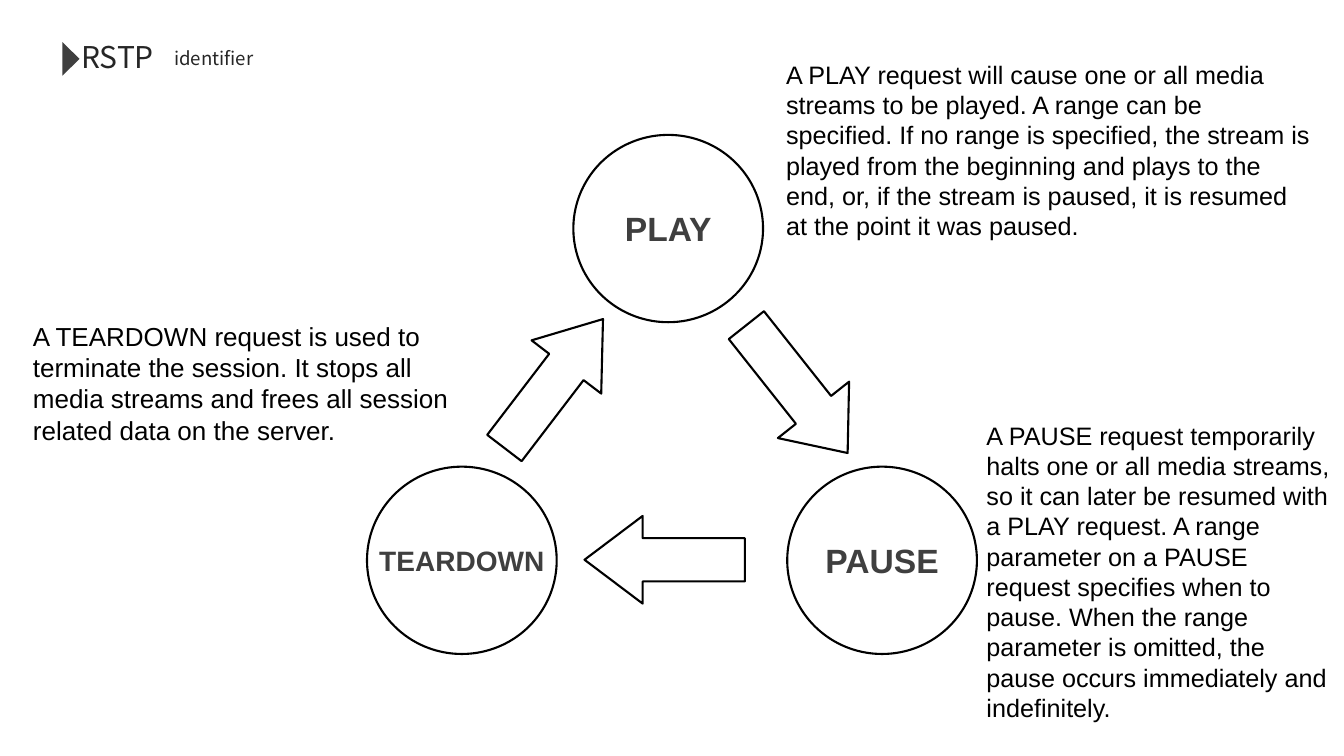
"""Build the slide showing the PLAY, PAUSE and TEARDOWN request cycle."""
from dataclasses import dataclass

import pptx
import pptx.dml.color
import pptx.enum.shapes
import pptx.enum.text
import pptx.util

Cm = pptx.util.Cm
Pt = pptx.util.Pt
RGBColor = pptx.dml.color.RGBColor
ShapeType = pptx.enum.shapes.MSO_SHAPE
Align = pptx.enum.text.PP_ALIGN
Anchor = pptx.enum.text.MSO_ANCHOR

BLACK = RGBColor(0x00, 0x00, 0x00)
WHITE = RGBColor(0xFF, 0xFF, 0xFF)
DARK_GREY = RGBColor(0x3F, 0x3F, 0x3F)
HEADING_GREY = RGBColor(0x26, 0x26, 0x26)
BODY_FONT = "Arial"
HEADING_FONT = "Noto Sans CJK SC"


@dataclass(frozen=True)
class Box:
    left: float
    top: float
    width: float
    height: float

    def lengths(self) -> tuple:
        return Cm(self.left), Cm(self.top), Cm(self.width), Cm(self.height)


@dataclass(frozen=True)
class Request:
    name: str
    left: float
    top: float
    name_size: float
    description: str
    description_box: Box
    description_size: float = 18


@dataclass(frozen=True)
class Arrow:
    box: Box
    rotation: float
    head_length: float


CIRCLE_WIDTH, CIRCLE_HEIGHT = 4.78, 4.72
ARROW_SHAFT = 0.494
TITLE_BOX = Box(1.85, 0.85, 2.34, 1.17)
SUBTITLE_BOX = Box(4.19, 1.05, 2.54, 0.84)
MARKER_BOX = Box(1.37, 1.27, 0.84, 0.43)

REQUESTS = [
    Request(
        "PLAY", 14.45, 3.4, 24,
        "A PLAY request will cause one or all media streams to be played. "
        "A range can be specified. If no range is specified, the stream is "
        "played from the beginning and plays to the end, or, if the stream is "
        "paused, it is resumed at the point it was paused.",
        Box(19.56, 1.37, 13.77, 4.88),
    ),
    Request(
        "PAUSE", 19.84, 11.76, 24,
        "A PAUSE request temporarily halts one or all media streams, so it can "
        "later be resumed with a PLAY request. A range parameter on a PAUSE "
        "request specifies when to pause. When the range parameter is omitted, "
        "the pause occurs immediately and indefinitely.",
        Box(24.61, 10.46, 9.25, 7.95),
    ),
    Request(
        "TEARDOWN", 9.25, 11.76, 20,
        "A TEARDOWN request is used to terminate the session. It stops all "
        "media streams and frees all session related data on the server.",
        Box(0.58, 7.95, 11, 3.45), 18.6,
    ),
]

ARROWS = [
    Arrow(Box(11.91, 8.56, 4.09, 2.21), 307.4, 0.687),
    Arrow(Box(18.03, 8.66, 4.11, 2.29), 51.6, 0.605),
    Arrow(Box(14.73, 13, 4.04, 2.21), 180, 0.663),
]


def write_text(shape, text: str, *, size: float, color: RGBColor = BLACK,
               font: str = BODY_FONT, bold: bool = False, align=Align.LEFT,
               anchor=Anchor.TOP, wrap: bool = True) -> None:
    frame = shape.text_frame
    frame.auto_size = pptx.enum.text.MSO_AUTO_SIZE.NONE
    frame.word_wrap = wrap
    frame.vertical_anchor = anchor
    paragraph = frame.paragraphs[0]
    paragraph.alignment = align
    run = paragraph.add_run()
    run.text = text
    run.font.name = font
    run.font.size = Pt(size)
    run.font.bold = bold
    run.font.color.rgb = color


def write_heading(shape, text: str, size: float) -> None:
    write_text(shape, text, size=size, color=HEADING_GREY, font=HEADING_FONT,
               anchor=Anchor.MIDDLE)
    frame = shape.text_frame
    frame.margin_left = Cm(0.2)
    frame.margin_right = frame.margin_top = frame.margin_bottom = 0


def add_outline(slide, kind, box: Box):
    shape = slide.shapes.add_shape(kind, *box.lengths())
    shape.shadow.inherit = False
    shape.fill.background()
    shape.line.color.rgb = BLACK
    shape.line.width = Pt(1.5)
    return shape


def add_arrow(slide, arrow: Arrow) -> None:
    shape = add_outline(slide, ShapeType.RIGHT_ARROW, arrow.box)
    shape.adjustments[0] = ARROW_SHAFT
    shape.adjustments[1] = arrow.head_length
    shape.rotation = arrow.rotation


def add_request(slide, request: Request) -> None:
    circle = add_outline(slide, ShapeType.OVAL, Box(
        request.left, request.top, CIRCLE_WIDTH, CIRCLE_HEIGHT))
    write_text(circle, request.name, size=request.name_size, color=DARK_GREY,
               bold=True, align=Align.CENTER, anchor=Anchor.MIDDLE, wrap=False)
    description = slide.shapes.add_textbox(*request.description_box.lengths())
    write_text(description, request.description, size=request.description_size)


def add_header(slide) -> None:
    title = slide.shapes.title
    title.left, title.top, title.width, title.height = TITLE_BOX.lengths()
    write_heading(title, "RSTP", 21.4)
    subtitle = slide.shapes.add_textbox(*SUBTITLE_BOX.lengths())
    write_heading(subtitle, "identifier", 13.3)
    marker = slide.shapes.add_shape(ShapeType.ISOSCELES_TRIANGLE,
                                    *MARKER_BOX.lengths())
    marker.shadow.inherit = False
    marker.rotation = 90
    marker.fill.solid()
    marker.fill.fore_color.rgb = DARK_GREY
    marker.line.fill.background()


def main() -> None:
    presentation = pptx.Presentation()
    presentation.slide_width = Cm(33.87)
    presentation.slide_height = Cm(19.05)
    slide = presentation.slides.add_slide(presentation.slide_layouts[5])
    slide.background.fill.solid()
    slide.background.fill.fore_color.rgb = WHITE
    add_header(slide)
    for arrow in ARROWS:
        add_arrow(slide, arrow)
    for request in REQUESTS:
        add_request(slide, request)
    presentation.save("out.pptx")


if __name__ == "__main__":
    main()
